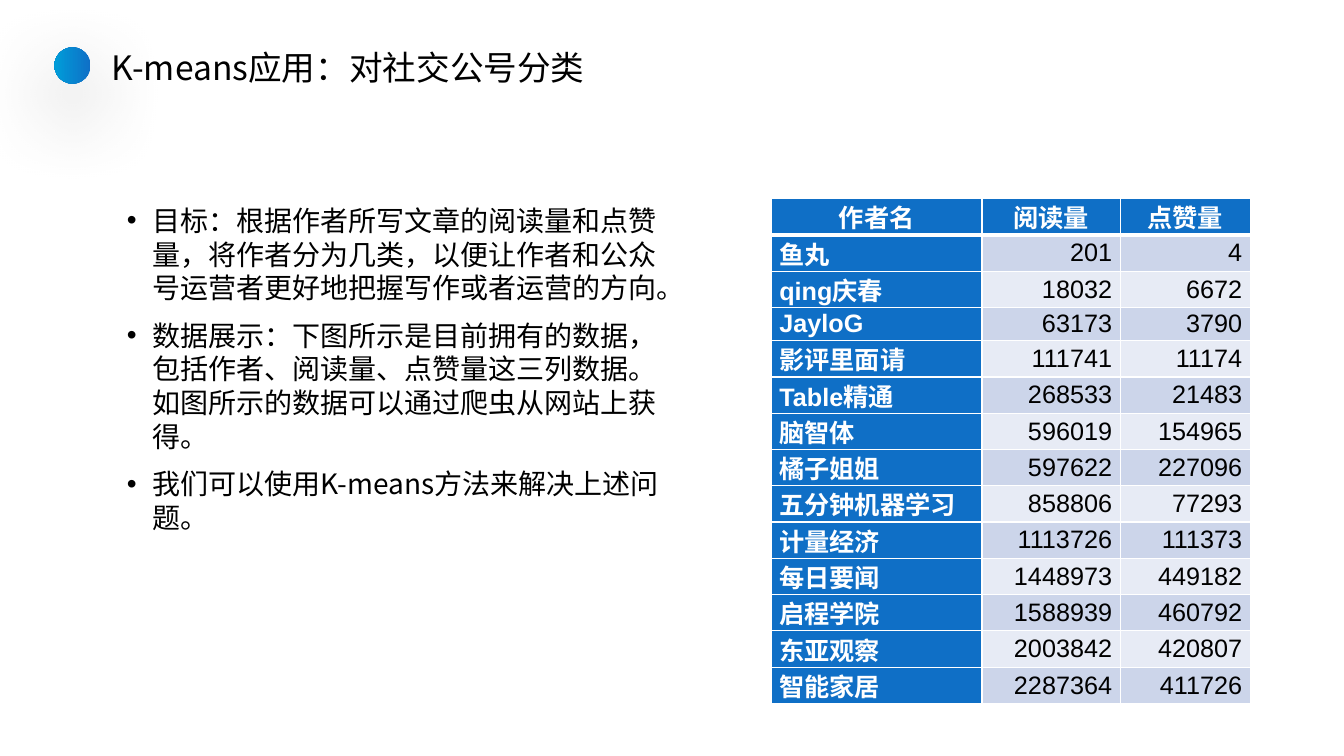
"""Build the slide on classifying public accounts with K-means."""
from lxml import etree
from pptx import Presentation
from pptx.dml.color import RGBColor
from pptx.enum.shapes import MSO_SHAPE
from pptx.enum.text import MSO_ANCHOR, PP_ALIGN
from pptx.oxml.ns import qn
from pptx.util import Inches, Pt

OVAL = MSO_SHAPE.OVAL
MIDDLE = MSO_ANCHOR.MIDDLE
LEFT, CENTER, RIGHT, JUSTIFY = PP_ALIGN.LEFT, PP_ALIGN.CENTER, PP_ALIGN.RIGHT, PP_ALIGN.JUSTIFY
BLACK = RGBColor(0x00, 0x00, 0x00)
WHITE = RGBColor(0xFF, 0xFF, 0xFF)
BLUE = RGBColor(0x0F, 0x6F, 0xC6)
CYAN = RGBColor(0x00, 0x9D, 0xD9)
DARK_BAND = RGBColor(0xCC, 0xD5, 0xEA)
LIGHT_BAND = RGBColor(0xE7, 0xEB, 0xF5)
HAN_FONT = "Noto Sans CJK SC"

GOALS = [
    "目标：根据作者所写文章的阅读量和点赞量，将作者分为几类，以便让作者和公众号运营者更好地把握写作或者运营的方向。",
    "数据展示：下图所示是目前拥有的数据，包括作者、阅读量、点赞量这三列数据。如图所示的数据可以通过爬虫从网站上获得。",
    "我们可以使用K-means方法来解决上述问题。",
]
ACCOUNTS = [
    ("作者名", "阅读量", "点赞量"),
    ("鱼丸", "201", "4"),
    ("qing庆春", "18032", "6672"),
    ("JayloG", "63173", "3790"),
    ("影评里面请", "111741", "11174"),
    ("Table精通", "268533", "21483"),
    ("脑智体", "596019", "154965"),
    ("橘子姐姐", "597622", "227096"),
    ("五分钟机器学习", "858806", "77293"),
    ("计量经济", "1113726", "111373"),
    ("每日要闻", "1448973", "449182"),
    ("启程学院", "1588939", "460792"),
    ("东亚观察", "2003842", "420807"),
    ("智能家居", "2287364", "411726"),
]


def write_text(para, text, size, font=HAN_FONT, color=BLACK, bold=False, align=LEFT):
    para.alignment = align
    span = para.add_run()
    span.text = text
    span.font.size = Pt(size)
    span.font.name = font
    span.font.bold = bold
    span.font.color.rgb = color
    etree.SubElement(span.font._element, qn("a:ea"), typeface=HAN_FONT)


def add_border(cell, side, width):
    line = etree.SubElement(cell._tc.get_or_add_tcPr(), qn(f"a:{side}"), w=str(Pt(width)))
    fill = etree.SubElement(line, qn("a:solidFill"))
    etree.SubElement(fill, qn("a:srgbClr"), val=str(WHITE))


deck = Presentation()
deck.slide_width, deck.slide_height = Inches(13.33), Inches(7.5)
page = deck.slides.add_slide(deck.slide_layouts[6])

goal_box = page.shapes.add_textbox(Inches(1.16), Inches(1.97), Inches(5.63), Inches(4.76))
goal_frame = goal_box.text_frame
goal_frame.word_wrap = True
for index, goal in enumerate(GOALS):
    para = goal_frame.add_paragraph() if index else goal_frame.paragraphs[0]
    para.space_before = Pt(10 if index else 0)
    settings = para._p.get_or_add_pPr()
    settings.set("marL", str(Inches(0.25)))
    settings.set("indent", str(Inches(-0.25)))
    etree.SubElement(settings, qn("a:buFont"), typeface="Arial")
    etree.SubElement(settings, qn("a:buChar"), char="•")
    write_text(para, goal, 20)

table_frame = page.shapes.add_table(
    len(ACCOUNTS), 3, Inches(7.65), Inches(1.97), Inches(4.75), Inches(5.01))
table = table_frame.table
for column, width in zip(table.columns, (2.09, 1.37, 1.29)):
    column.width = Inches(width)
for row_index, account in enumerate(ACCOUNTS):
    table.rows[row_index].height = Inches(0.33 if account[0].isascii() else 0.36)
    for column_index, value in enumerate(account):
        cell = table.cell(row_index, column_index)
        cell.vertical_anchor = MIDDLE
        cell.margin_left = cell.margin_right = Inches(0.08)
        cell.margin_top = cell.margin_bottom = 0
        for side in ("lnL", "lnR", "lnT", "lnB"):
            under_header = (row_index, side) in ((0, "lnB"), (1, "lnT"))
            add_border(cell, side, 3 if under_header else 1)
        heading = row_index == 0 or column_index == 0
        band = DARK_BAND if row_index % 2 else LIGHT_BAND
        cell.fill.solid()
        cell.fill.fore_color.rgb = BLUE if heading else band
        align = CENTER if row_index == 0 else RIGHT if column_index else LEFT
        write_text(cell.text_frame.paragraphs[0], value, 18, font="Arial",
                   color=WHITE if heading else BLACK, bold=heading, align=align)

dot = page.shapes.add_shape(OVAL, Inches(0.54), Inches(0.47), Inches(0.36), Inches(0.36))
dot.line.fill.background()
dot.fill.gradient()
dot.fill.gradient_angle = 180
for stop, position, color in zip(dot.fill.gradient_stops, (0, 1), (BLUE, CYAN)):
    stop.position = position
    stop.color.rgb = color
dot.shadow.inherit = False
effects = dot._element.spPr.find(qn("a:effectLst"))
shadow = etree.SubElement(effects, qn("a:outerShdw"), blurRad=str(Pt(60)), dist=str(Pt(20)),
                          dir="5400000", algn="t", rotWithShape="0")
shadow_color = etree.SubElement(shadow, qn("a:srgbClr"), val=str(BLACK))
etree.SubElement(shadow_color, qn("a:alpha"), val="40000")

title_box = page.shapes.add_textbox(Inches(1.01), Inches(0.42), Inches(7.12), Inches(0.5))
title_box.text_frame.word_wrap = True
write_text(title_box.text_frame.paragraphs[0], "K-means应用：对社交公号分类", 24, align=JUSTIFY)

deck.save("out.pptx")
